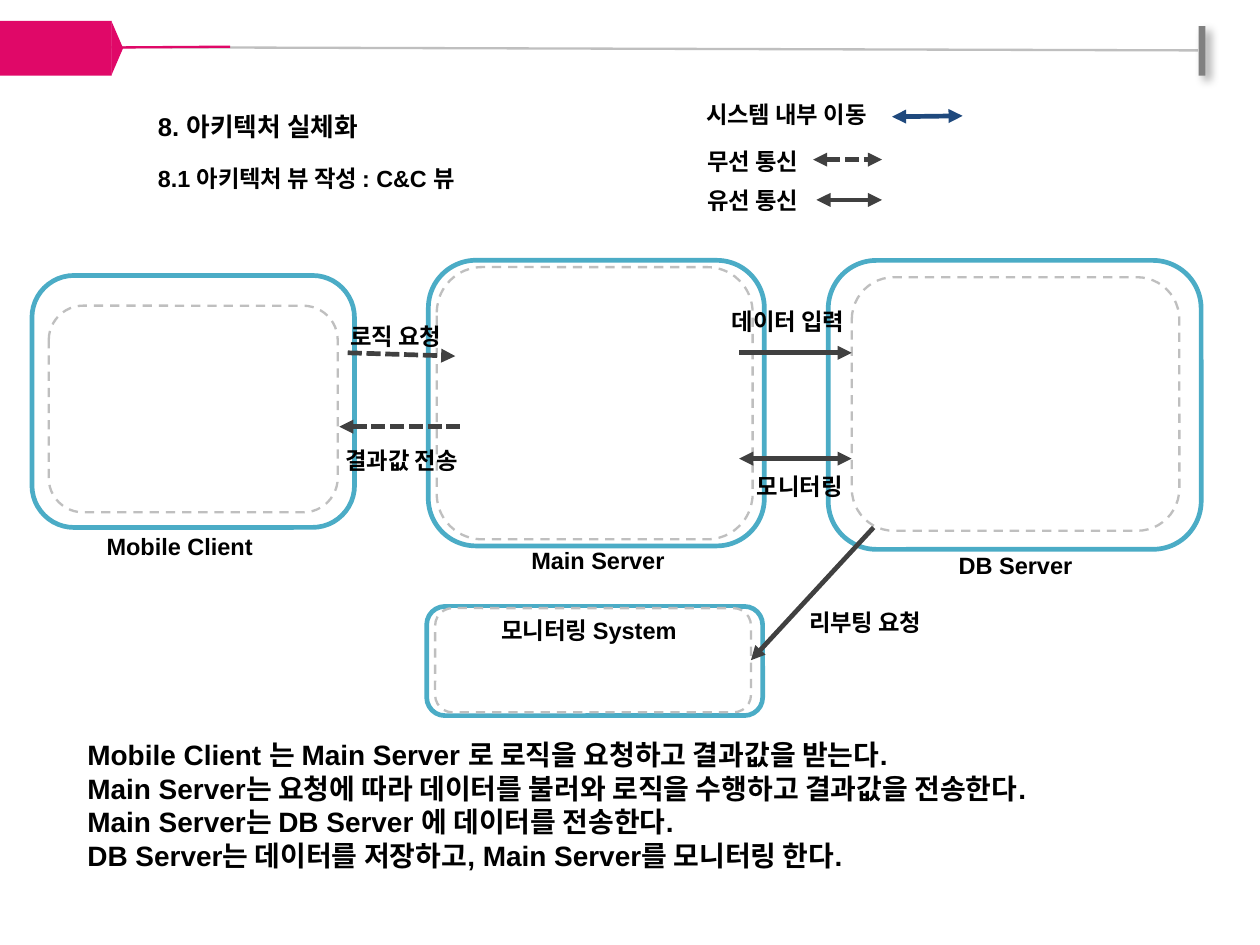
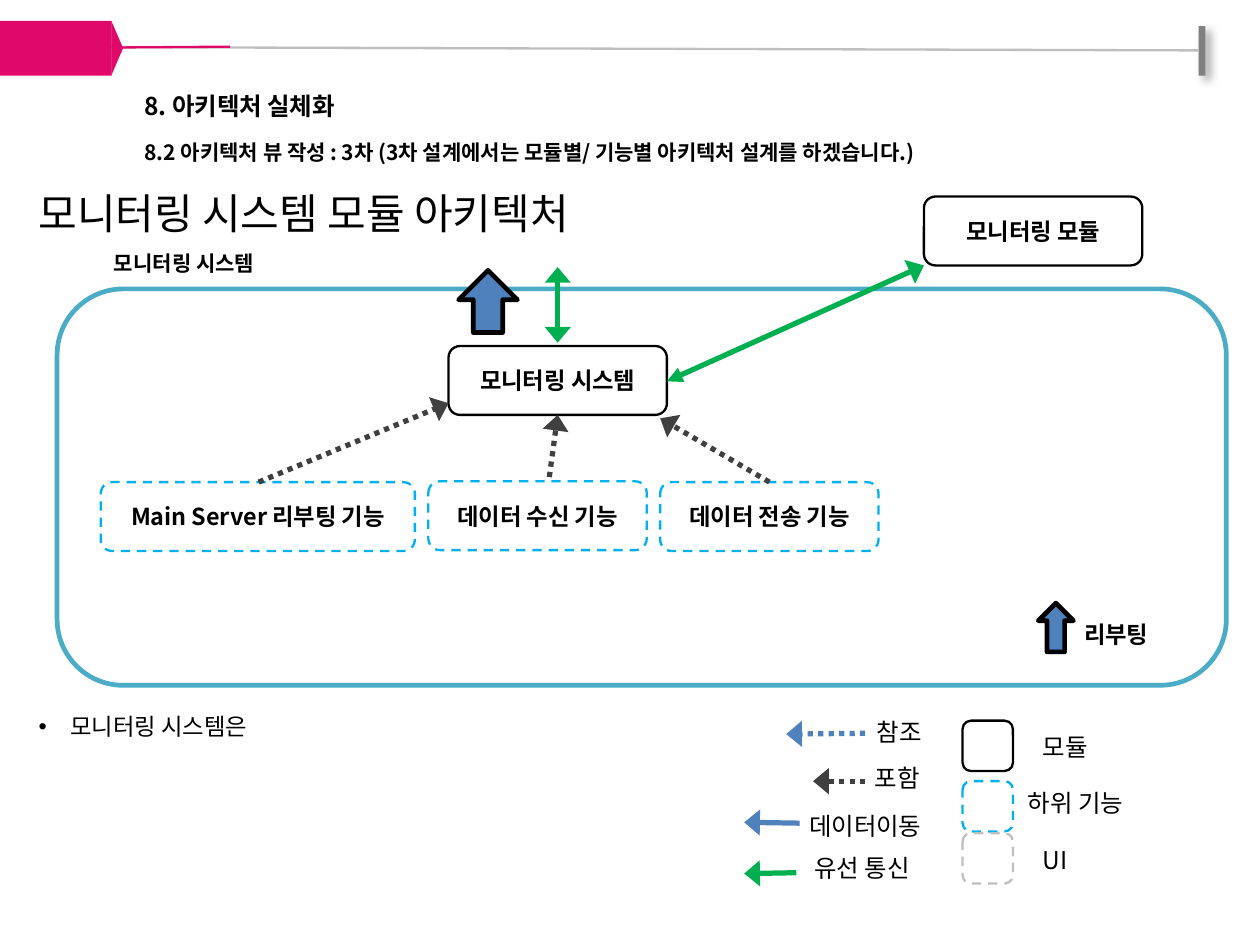
from dataclasses import dataclass

from lxml.etree import SubElement
from pptx import Presentation
from pptx.dml.color import RGBColor as RGB
from pptx.enum.dml import MSO_LINE as DASH
from pptx.enum.shapes import MSO_CONNECTOR as CONN, MSO_SHAPE as SHAPE
from pptx.enum.text import MSO_ANCHOR as ANCHOR, MSO_AUTO_SIZE as FIT, PP_ALIGN as ALIGN
from pptx.oxml.ns import qn
from pptx.util import Inches, Pt


@dataclass(frozen=True)
class Theme:
    pink: str = "E00868"
    black: str = "000000"
    white: str = "FFFFFF"
    teal: str = "4BACC6"
    cyan: str = "00B0F0"
    silver: str = "BFBFBF"
    gray: str = "808080"
    dark: str = "404040"
    navy: str = "1F497D"
    blue: str = "4F81BD"
    green: str = "00B050"
    latin: str = "Arial"
    korean: str = "Noto Sans CJK KR"
    heading: float = 18
    body: float = 12
    legend: float = 10.5
    node: float = 10.1
    label: float = 10
    caption: float = 9
    leading: float = 1.2


T = Theme()
COLS, ROWS, CELL = 75, 56.25, Inches(0.1)
FRAME = ("left", "top", "width", "height")


def grid(*cells):
    return [round(c * CELL) for c in cells]


def apply(obj, fmt):
    for name, value in fmt.items():
        setattr(obj, name, value)


def place(sp, at):
    apply(sp, dict(zip(FRAME, grid(*at))))


def style_line(line, color, width, dash=None):
    line.color.rgb = RGB.from_string(color)
    apply(line, {"width": Pt(width), "dash_style": dash})


def write(p, content, size, font=T.korean, bold=False, align=ALIGN.LEFT, before=0):
    apply(p, {"alignment": align, "line_spacing": Pt(round(size * T.leading, 1)),
              "space_before": Pt(before), "space_after": Pt(0)})
    r = p.add_run()
    r.text = content
    apply(r.font, {"size": Pt(size), "name": font, "bold": bold})
    r.font.color.rgb = RGB.from_string(T.black)
    r.font._element.set("kern", "0")
    SubElement(r.font._element, qn("a:ea"), typeface=T.korean)


def text(s, at, content, size=T.label, **fmt):
    tf = s.shapes.add_textbox(*grid(*at)).text_frame
    tf.word_wrap = True
    write(tf.paragraphs[0], content, size, **fmt)


def label(s, at, content, font=T.latin, size=T.label):
    text(s, at, content, size, font=font, bold=True, align=ALIGN.CENTER)


def shape(s, kind, at, fill=None, line=None, content=None):
    sp = s.shapes.add_shape(kind, *grid(*at))
    sp.shadow.inherit = False
    if fill:
        sp.fill.solid()
        sp.fill.fore_color.rgb = RGB.from_string(fill)
    else:
        sp.fill.background()
    if line:
        style_line(sp.line, *line)
    else:
        sp.line.fill.background()
    if content:
        sp.text_frame.vertical_anchor = ANCHOR.MIDDLE
        write(sp.text_frame.paragraphs[0], content, T.label, bold=True, align=ALIGN.CENTER)
    return sp


def arrow(s, start, end, color, width=2, dash=None, head=None, tail=None):
    c = s.shapes.add_connector(CONN.STRAIGHT, *grid(*start, *end))
    style_line(c.line, color, width, dash)
    ln = c.line._get_or_add_ln()
    for tag, size in (("a:headEnd", head), ("a:tailEnd", tail)):
        if size:
            SubElement(ln, qn(tag), type="triangle", w=size, len="med")
    SubElement(c.element.spPr, qn("a:effectLst"))
    return c


def cast_shadow(sp):
    effects = sp.element.spPr.find(qn("a:effectLst"))
    shadow = SubElement(effects, qn("a:outerShdw"), blurRad=str(Pt(4)), dist=str(Pt(3)),
                        dir="2700000", algn="tl", rotWithShape="0")
    color = SubElement(shadow, qn("a:srgbClr"), val=T.black)
    SubElement(color, qn("a:alpha"), val="40000")


def fill_placeholder(sp, at):
    place(sp, at)
    apply(sp.text_frame, {"word_wrap": True, "auto_size": FIT.NONE,
                          "vertical_anchor": ANCHOR.TOP})
    return sp.text_frame


def title(s, at, section, topic, sizes, gap, font):
    tf = fill_placeholder(s.shapes.title, at)
    write(tf.paragraphs[0], section, sizes[0], font, bold=True)
    write(tf.add_paragraph(), topic, sizes[1], font, bold=True, before=gap)


def body(s, at, lines, size, bullet=None, **fmt):
    tf = fill_placeholder(s.placeholders[1], at)
    indent = Inches(0.19) if bullet else 0
    for i, content in enumerate(lines):
        p = tf.add_paragraph() if i else tf.paragraphs[0]
        pPr = p._p.get_or_add_pPr()
        pPr.set("marL", str(indent))
        pPr.set("indent", str(-indent))
        if bullet:
            SubElement(pPr, qn("a:buChar"), char=bullet)
        else:
            SubElement(pPr, qn("a:buNone"))
        write(p, content, size, **fmt)


def prepare_layout(prs):
    layout = prs.slide_layouts[1]
    for other in list(prs.slide_layouts):
        if other != layout:
            prs.slide_layouts.remove(other)
    ratio = COLS * CELL / prs.slide_width
    for sp in prs.slide_master.placeholders:
        apply(sp, {name: round(getattr(sp, name) * ratio) for name in FRAME})
    for sp in list(layout.placeholders)[2:]:
        sp.element.getparent().remove(sp.element)
    apply(prs, {"slide_width": COLS * CELL, "slide_height": round(ROWS * CELL)})
    return layout


def add_band(s, layout):
    rule = arrow(s, (3.8, 2.8), (71.3, 3), T.silver, 1)
    end = shape(s, SHAPE.RECTANGLE, (71.35, 1.55, 0.4, 2.95), T.gray)
    cast_shadow(end)
    accent = arrow(s, (6.8, 2.83), (13.7, 2.78), T.pink, 1)
    tip = shape(s, SHAPE.ISOSCELES_TRIANGLE, (5.35, 2.52, 3.25, 0.7), T.pink)
    tip.rotation = 90
    tab = shape(s, SHAPE.RECTANGLE, (-0.05, 1.25, 6.7, 3.25), T.pink)
    for sp in (rule, end, accent, tip, tab):
        layout.shapes.element.append(sp.element)


def component_view(s):
    title(s, (8.4, 6.1, 48.2, 6.1), "8. 아키텍처 실체화", "8.1 아키텍처 뷰 작성 : C&C 뷰",
          (11, 10), 9.5, T.latin)
    nodes = [
        ((1.9, 16.4, 19.2, 15), (2.9, 18.2, 17.2, 12.3), "Mobile Client", (4.2, 31.2, 13, 2.7)),
        ((25.5, 15.5, 20, 17), (26, 15.9, 18.8, 16.2), "Main Server", (29.3, 32, 12.6, 2.7)),
        ((49.3, 15.5, 22.2, 17.2), (50.7, 16.5, 19.5, 15.1), "DB Server",
         (54.2, 32.3, 12.5, 2.7)),
        ((25.4, 36.1, 20, 6.5), (25.9, 36.2, 18.8, 6.2), "모니터링 System",
         (26.8, 36.2, 16.5, 2.7)),
    ]
    for outer, inner, name, spot in nodes:
        shape(s, SHAPE.ROUNDED_RECTANGLE, outer, line=(T.teal, 2))
        shape(s, SHAPE.ROUNDED_RECTANGLE, inner, T.white, (T.silver, 1, DASH.DASH))
        label(s, spot, name, size=T.node)

    wireless, m = DASH.SQUARE_DOT, "med"
    for start, end, color, dash, head, tail in [
        ((20.7, 21), (27.1, 21.2), T.dark, wireless, None, m),
        ((20.2, 25.4), (27.4, 25.4), T.dark, wireless, m, None),
        ((44, 21), (50.7, 21), T.dark, None, None, m),
        ((44, 27.3), (50.7, 27.3), T.dark, None, m, m),
        ((44.7, 39.3), (52, 31.4), T.dark, None, m, None),
        ((53.1, 6.95), (57.3, 6.9), T.navy, None, m, m),
        ((48.4, 9.5), (52.5, 9.5), T.dark, wireless, m, m),
        ((48.6, 11.9), (52.5, 11.9), T.dark, None, m, m),
    ]:
        arrow(s, start, end, color, 2, dash, head, tail)

    for left, top, name in [
        (40.3, 5.5, "시스템 내부 이동"), (38.3, 8.3, "무선 통신"), (38.3, 10.6, "유선 통신"),
        (17.05, 18.7, "로직 요청"), (17.4, 26.1, "결과값 전송"), (40.4, 17.8, "데이터 입력"),
        (41.1, 27.6, "모니터링"), (45, 35.7, "리부팅 요청"),
    ]:
        label(s, (left, top, 13, 2.7), name)

    body(s, (4.2, 43.4, 63.5, 9.1), [
        "Mobile Client 는 Main Server 로 로직을 요청하고 결과값을 받는다.",
        "Main Server는 요청에 따라 데이터를 불러와 로직을 수행하고 결과값을 전송한다.",
        "Main Server는 DB Server 에 데이터를 전송한다.",
        "DB Server는 데이터를 저장하고, Main Server를 모니터링 한다.",
    ], T.body, font=T.latin, bold=True)


def module_view(s):
    title(s, (7.6, 4.9, 55.9, 5.5), "8. 아키텍처 실체화",
          "8.2 아키텍처 뷰 작성 : 3차 (3차 설계에서는 모듈별/ 기능별 아키텍처 설계를 하겠습니다.)",
          (10.5, 9), 8.2, T.korean)
    text(s, (1.3, 10.7, 37.5, 4), "모니터링 시스템 모듈 아키텍처", T.heading)
    shape(s, SHAPE.ROUNDED_RECTANGLE, (3.4, 17.2, 69.6, 23.6), T.white, (T.teal, 2))
    label(s, (2.7, 14.4, 16.5, 2.5), "모니터링 시스템", T.korean, T.caption)

    module, feature, ui = (T.black, 1), (T.cyan, 1, DASH.DASH), (T.silver, 1, DASH.DASH)
    for left, top, width, line, name in [
        (55, 11.7, 13, module, "모니터링 모듈"),
        (26.7, 20.6, 13, module, "모니터링 시스템"),
        (6, 28.7, 18.7, feature, "Main Server 리부팅 기능"),
        (25.5, 28.65, 13, feature, "데이터 수신 기능"),
        (39.3, 28.7, 13, feature, "데이터 전송 기능"),
    ]:
        shape(s, SHAPE.ROUNDED_RECTANGLE, (left, top, width, 4.1), T.white, line, name)

    dots = DASH.ROUND_DOT
    for start, end, color, dash, head in [
        ((33.2, 15.9), (33.2, 20.4), T.green, None, "lg"),
        ((39.7, 22.7), (55, 15.8), T.green, None, "med"),
        ((15.4, 28.7), (26.7, 24), T.dark, dots, None),
        ((32.7, 28.4), (33.2, 24.7), T.dark, dots, None),
        ((45.8, 28.7), (39.3, 24.9), T.dark, dots, None),
        ((51.5, 43.65), (46.8, 43.7), T.blue, dots, None),
        ((51.5, 46.5), (48.4, 46.5), T.dark, dots, None),
        ((47.6, 49), (44.3, 48.95), T.blue, None, None),
        ((47.4, 51.95), (44.3, 52), T.green, None, None),
    ]:
        arrow(s, start, end, color, 2.25, dash, head, "lg")

    for at in [(27.3, 16.1, 3.5, 3.7), (61.8, 35.9, 2.1, 2.9)]:
        shape(s, SHAPE.UP_ARROW, at, T.blue, (T.black, 2))
    label(s, (59.8, 36.4, 13.3, 2.7), "리부팅")

    for top, line in [(42.9, module), (46.5, feature), (49.6, ui)]:
        shape(s, SHAPE.ROUNDED_RECTANGLE, (57.3, top, 3, 3), T.white, line)
    for left, top, width, name in [
        (51.2, 42.2, 5.5, "참조"), (51.1, 44.9, 5.5, "포함"), (47.2, 47.8, 9.6, "데이터이동"),
        (47.5, 50.3, 8.6, "유선 통신"), (61.1, 43.1, 5.5, "모듈"), (60.2, 46.4, 8.6, "하위 기능"),
        (61.1, 49.8, 5.5, "UI"),
    ]:
        text(s, (left, top, width, 2.8), name, T.legend)

    body(s, (1.3, 41.9, 40.9, 2.7), ["모니터링 시스템은"], T.label, "•")


def main():
    prs = Presentation()
    layout = prepare_layout(prs)
    views = (component_view, module_view)
    slides = [prs.slides.add_slide(layout) for _ in views]
    add_band(slides[0], layout)
    for view, s in zip(views, slides):
        view(s)
    prs.save("out.pptx")


if __name__ == "__main__":
    main()
